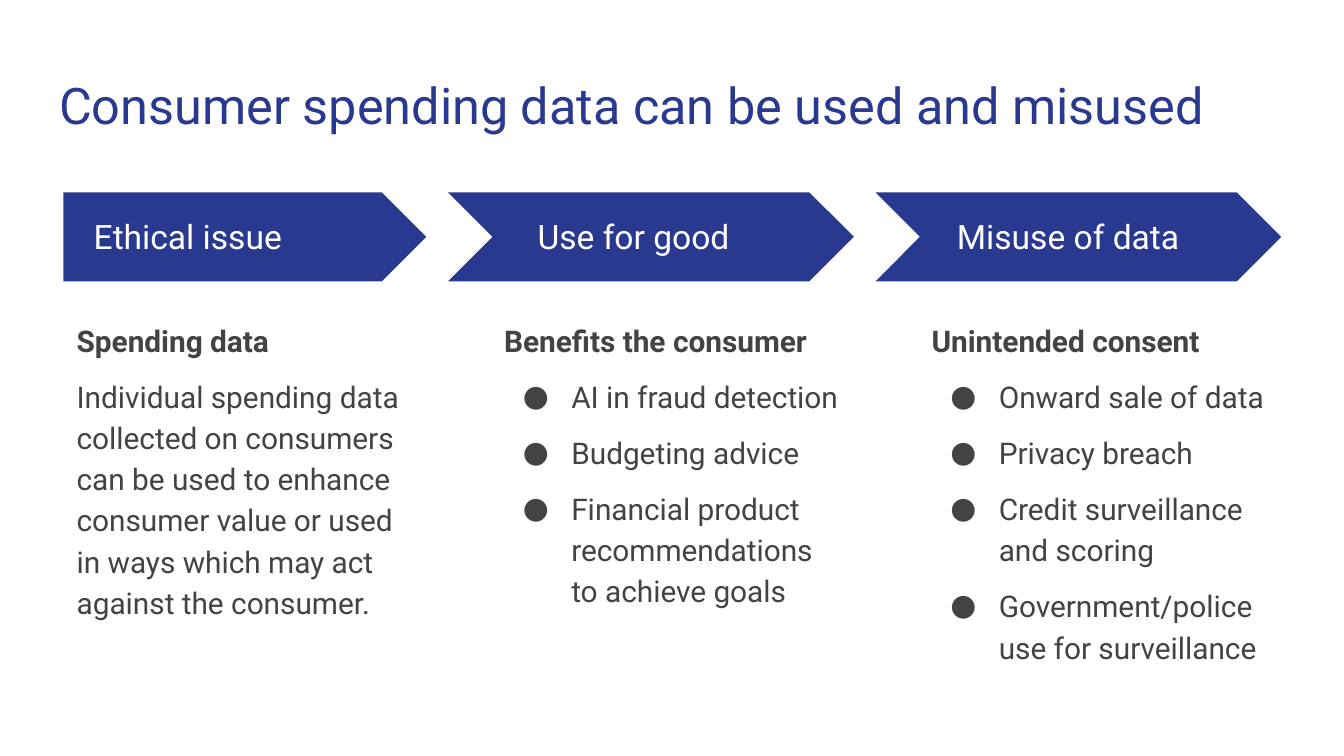
from dataclasses import dataclass

from lxml.etree import SubElement
from pptx import Presentation
from pptx.dml.color import RGBColor
from pptx.enum.shapes import MSO_SHAPE as Preset
from pptx.enum.text import MSO_ANCHOR as Anchor, MSO_AUTO_SIZE as AutoSize, PP_ALIGN as Align
from pptx.oxml.ns import qn
from pptx.slide import Slide
from pptx.text.text import TextFrame, _Paragraph as Paragraph
from pptx.util import Pt

NAVY = RGBColor(0x2A, 0x39, 0x90)
GRAY = RGBColor(0x43, 0x43, 0x43)
WHITE = RGBColor(0xFF, 0xFF, 0xFF)
FONT = "Roboto"

INSET = 7.2
COLUMN_LEFT = 34
COLUMN_PITCH = 229
COLUMN_WIDTH = 194.4
ARROW_TOP = 103
ARROW_HEIGHT = 47.7
CHEVRON_OVERHANG = 23


@dataclass(frozen=True)
class Column:
    label: str
    label_indent: float
    heading: str
    items: tuple[str, ...]
    is_first: bool = False


COLUMNS = (
    Column(
        "Ethical issue", 9, "Spending data",
        ("Individual spending data collected on consumers can be used to enhance "
         "consumer value or used in ways which may act against the consumer.",),
        is_first=True,
    ),
    Column(
        "Use for good", 17.8, "Benefits the consumer",
        ("AI in fraud detection", "Budgeting advice",
         "Financial product recommendations to achieve goals"),
    ),
    Column(
        "Misuse of data", 13.4, "Unintended consent",
        ("Onward sale of data", "Privacy breach", "Credit surveillance and scoring",
         "Government/police use for surveillance"),
    ),
)


def format_frame(frame: TextFrame, anchor: Anchor, left_indent: float = 0) -> None:
    frame.word_wrap = True
    frame.auto_size = AutoSize.NONE
    frame.vertical_anchor = anchor
    frame.margin_left = Pt(INSET + left_indent)
    frame.margin_top = frame.margin_right = frame.margin_bottom = Pt(INSET)


def add_run(paragraph: Paragraph, text: str, size: float, color: RGBColor,
            bold: bool = False) -> None:
    paragraph.alignment = Align.LEFT
    run = paragraph.add_run()
    run.text = text
    run.font.name = FONT
    run.font.size = Pt(size)
    run.font.bold = bold
    run.font.color.rgb = color


def add_bullet(paragraph: Paragraph) -> None:
    properties = paragraph._p.get_or_add_pPr()
    properties.set("marL", str(Pt(36)))
    properties.set("indent", str(Pt(-26)))
    color = SubElement(properties, qn("a:buClr"))
    SubElement(color, qn("a:srgbClr"), val=str(GRAY))
    SubElement(properties, qn("a:buFont"), typeface=FONT)
    SubElement(properties, qn("a:buChar"), char="●")


def add_title(slide: Slide, text: str) -> None:
    title = slide.shapes.title
    title.left, title.top, title.width, title.height = Pt(24.5), Pt(32.4), Pt(671), Pt(47.5)
    format_frame(title.text_frame, Anchor.TOP)
    add_run(title.text_frame.paragraphs[0], text, 27, NAVY)


def add_arrow(slide: Slide, column: Column, left: float) -> None:
    overhang = 0 if column.is_first else CHEVRON_OVERHANG
    preset = Preset.PENTAGON if column.is_first else Preset.CHEVRON
    arrow = slide.shapes.add_shape(
        preset, Pt(left - overhang), Pt(ARROW_TOP), Pt(COLUMN_WIDTH + overhang), Pt(ARROW_HEIGHT))
    arrow.adjustments[0] = 0.5
    arrow.shadow.inherit = False
    arrow.fill.solid()
    arrow.fill.fore_color.rgb = NAVY
    arrow.line.fill.background()


def add_label(slide: Slide, column: Column, left: float) -> None:
    label = slide.shapes.add_textbox(Pt(left), Pt(114.5), Pt(178), Pt(24.5))
    format_frame(label.text_frame, Anchor.MIDDLE, column.label_indent)
    add_run(label.text_frame.paragraphs[0], column.label, 18, WHITE)


def add_body(slide: Slide, column: Column, left: float) -> None:
    body = slide.shapes.add_textbox(Pt(left), Pt(162.7), Pt(COLUMN_WIDTH), Pt(209))
    frame = body.text_frame
    format_frame(frame, Anchor.TOP)
    heading = frame.paragraphs[0]
    heading.line_spacing = 1.15
    add_run(heading, column.heading, 16, GRAY, bold=True)
    for item in column.items:
        paragraph = frame.add_paragraph()
        paragraph.line_spacing = 1.15
        paragraph.space_before = Pt(8)
        add_run(paragraph, item, 16, GRAY)
        if not column.is_first:
            add_bullet(paragraph)


def main() -> None:
    presentation = Presentation()
    presentation.slide_width, presentation.slide_height = Pt(720), Pt(405)
    slide = presentation.slides.add_slide(presentation.slide_layouts.get_by_name("Title Only"))
    add_title(slide, "Consumer spending data can be used and misused")
    for index, column in enumerate(COLUMNS):
        left = COLUMN_LEFT + index * COLUMN_PITCH
        add_arrow(slide, column, left)
        add_label(slide, column, left)
        add_body(slide, column, left)
    presentation.save("out.pptx")


if __name__ == "__main__":
    main()
